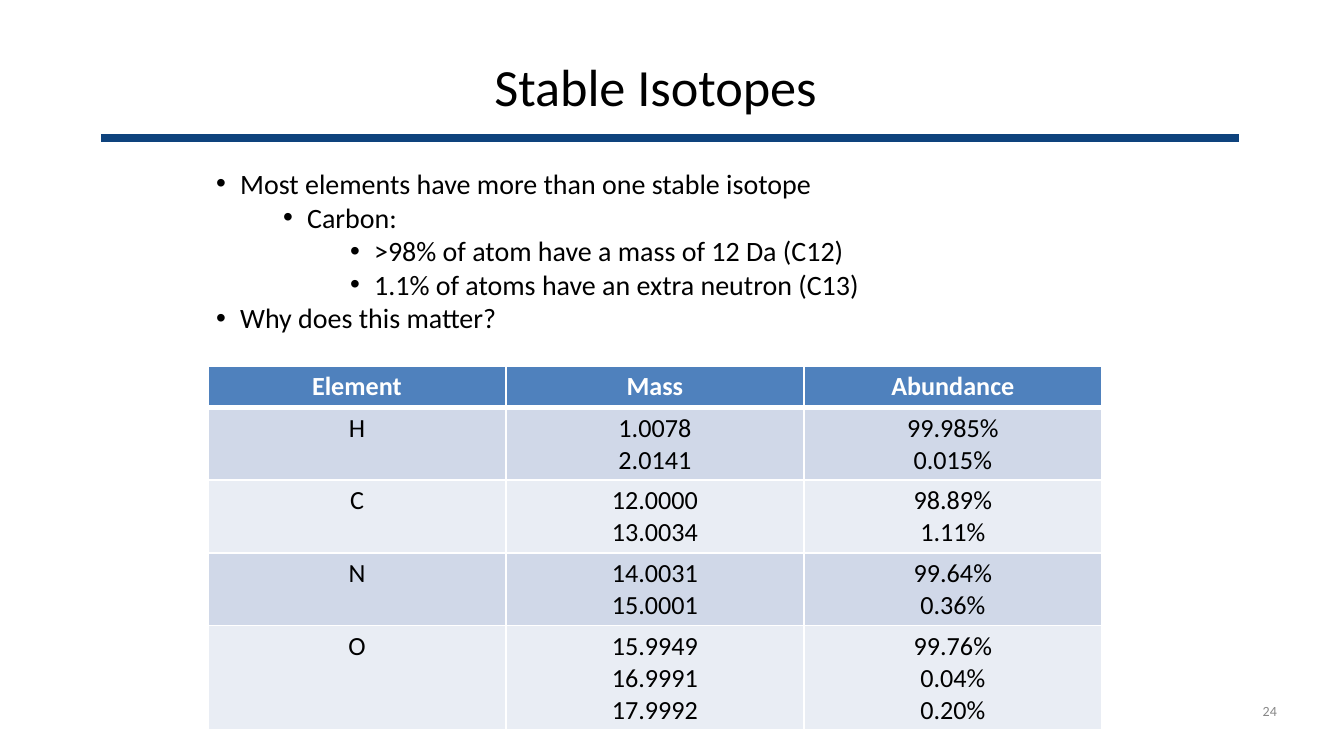
import pptx
import pptx.dml.color
import pptx.enum.shapes
import pptx.enum.text
import pptx.oxml.ns
import pptx.util
from lxml import etree

PX = 914400 / 134.4  # EMU in one px
THEME = {
    "font": "Calibri",
    "text": "000000", "rule": "0E437D", "muted": "888888", "white": "FFFFFF",
    "header": "4F81BD", "bands": ("D0D8E8", "E9EDF4"),
    "title_size": 28, "bullet_size": 15, "table_size": 14, "number_size": 7.5,
}
ALIGN = pptx.enum.text.PP_ALIGN
ANCHOR = pptx.enum.text.MSO_ANCHOR
qn = pptx.oxml.ns.qn


def px(*lengths):
    return [pptx.util.Emu(round(length * PX)) for length in lengths]


def format_text(frame, size, color, align, bold=False):
    for paragraph in frame.paragraphs:
        paragraph.alignment = align
        for run in paragraph.runs:
            run.font.name = THEME["font"]
            run.font.size = pptx.util.Pt(size)
            run.font.bold = bold
            run.font.color.rgb = pptx.dml.color.RGBColor.from_string(color)


deck = pptx.Presentation()
deck.slide_width, deck.slide_height = px(1344, 756)
slide = deck.slides.add_slide(deck.slide_layouts[5])

# Rule under the title
rule = slide.shapes.add_connector(
    pptx.enum.shapes.MSO_CONNECTOR.STRAIGHT, *px(101, 138, 1239, 138))
rule.line.width = pptx.util.Pt(4)
rule.line.color.rgb = pptx.dml.color.RGBColor.from_string(THEME["rule"])
etree.SubElement(rule._element.spPr, qn("a:effectLst"))

# Title
title = slide.shapes.title
title.left, title.top, title.width, title.height = px(28, 54, 1255, 78)
heading = title.text_frame
heading.text = "Stable Isotopes"
heading.auto_size = pptx.enum.text.MSO_AUTO_SIZE.NONE
heading.vertical_anchor = ANCHOR.TOP
format_text(heading, THEME["title_size"], THEME["text"], ALIGN.CENTER)

# Page number
page_number = slide.shapes.add_textbox(*px(1261, 703, 16, 16)).text_frame
page_number.text = "24"
page_number.word_wrap = True
page_number.vertical_anchor = ANCHOR.MIDDLE
format_text(page_number, THEME["number_size"], THEME["muted"], ALIGN.RIGHT)

for frame in (heading, page_number):
    frame.margin_left = frame.margin_right = 0
    frame.margin_top = frame.margin_bottom = 0

# Bullets
points = [
    (0, "Most elements have more than one stable isotope"),
    (1, "Carbon:"),
    (2, ">98% of atom have a mass of 12 Da (C12)"),
    (2, "1.1% of atoms have an extra neutron (C13)"),
    (0, "Why does this matter?"),
]
outline = slide.shapes.add_textbox(*px(203, 160, 1019, 183)).text_frame
outline.word_wrap = True
outline.text = "\n".join(text for _, text in points)
hang, step = px(24, 67)
for paragraph, (level, _) in zip(outline.paragraphs, points):
    paragraph.level = level
    properties = paragraph._p.get_or_add_pPr()
    properties.set("marL", str(hang + level * step))
    properties.set("indent", str(-hang))
    etree.SubElement(properties, qn("a:buFont"), typeface="Arial")
    etree.SubElement(properties, qn("a:buChar"), char="•")
format_text(outline, THEME["bullet_size"], THEME["text"], ALIGN.LEFT)

# Isotope table
isotopes = [
    ("Element", "Mass", "Abundance"),
    ("H", "1.0078\n2.0141", "99.985%\n0.015%"),
    ("C", "12.0000\n13.0034", "98.89%\n1.11%"),
    ("N", "14.0031\n15.0001", "99.64%\n0.36%"),
    ("O", "15.9949\n16.9991\n17.9992", "99.76%\n0.04%\n0.20%"),
]
row_heights = px(40, 71, 71, 71, 101)
table = slide.shapes.add_table(
    len(isotopes), 3, *px(208, 366, 894, 354)).table
for column in table.columns:
    column.width = px(298)[0]

for r, (values, height) in enumerate(zip(isotopes, row_heights)):
    table.rows[r].height = height
    header = r == 0
    fill = THEME["header"] if header else THEME["bands"][(r - 1) % 2]
    for c, value in enumerate(values):
        cell = table.cell(r, c)
        cell.text_frame.text = value
        cell.margin_left, cell.margin_right = px(9, 9)
        cell.margin_top, cell.margin_bottom = px(5, 5)
        format_text(cell.text_frame, THEME["table_size"],
                    THEME["white" if header else "text"], ALIGN.CENTER, header)

        # White borders, thicker below the header
        properties = cell._tc.get_or_add_tcPr()
        for side in ("L", "R", "T", "B"):
            thick = (r, side) in ((0, "B"), (1, "T"))
            border = etree.SubElement(properties, qn("a:ln" + side),
                                      w=str(pptx.util.Pt(3 if thick else 1)))
            paint = etree.SubElement(border, qn("a:solidFill"))
            etree.SubElement(paint, qn("a:srgbClr"), val=THEME["white"])
        cell.fill.solid()
        cell.fill.fore_color.rgb = pptx.dml.color.RGBColor.from_string(fill)

deck.save("out.pptx")
